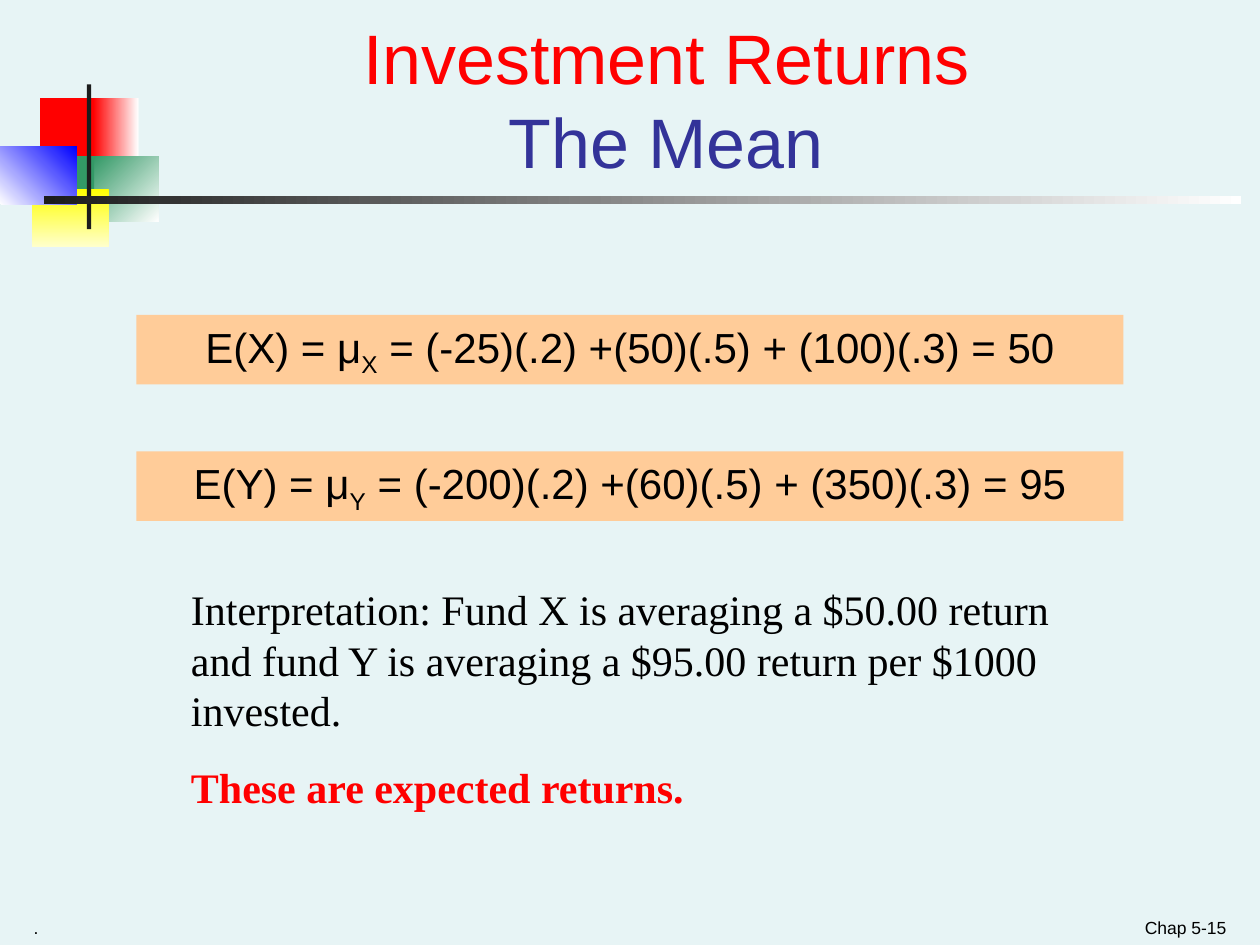
from dataclasses import dataclass

from pptx import Presentation
from pptx import util as u
from pptx.dml.color import RGBColor
from pptx.enum import shapes, text


@dataclass(frozen=True)
class Theme:
    back: str = "E7F4F5"
    ink: str = "000000"
    dark: str = "1C1C1C"
    red: str = "FF0000"
    navy: str = "333399"
    green: str = "339966"
    blue: str = "0000FF"
    yellow: str = "FFFF00"
    cream: str = "FFFFCC"
    white: str = "FFFFFF"
    peach: str = "FFCC99"
    sans: str = "Arial"
    serif: str = "Times New Roman"
    head: int = 40
    body: int = 24
    foot: int = 10


def rgb(code):
    return RGBColor.from_string(code)


def write(para, words, size, color, face, bold=False, sub=False):
    run = para.add_run()
    run.text = words
    font = run.font
    font.size, font.name, font.bold = u.Pt(size), face, bold
    font.color.rgb = rgb(color)
    if sub:
        run._r.get_or_add_rPr().set("baseline", "-25000")


class Deck:
    def __init__(self, theme):
        self.theme = theme
        self.prs = Presentation()
        self.prs.slide_width, self.prs.slide_height = u.Cm(25.4), u.Cm(19.05)
        self.slide = self.prs.slides.add_slide(self.prs.slide_layouts[6])
        fill = self.slide.background.fill
        fill.solid()
        fill.fore_color.rgb = rgb(theme.back)

    def block(self, area, color, fade=None, angle=0):
        rect = self.slide.shapes.add_shape(
            shapes.MSO_SHAPE.RECTANGLE, *map(u.Cm, area))
        rect.shadow.inherit = False
        rect.line.fill.background()
        if fade:
            rect.fill.gradient()
            rect.fill.gradient_angle = angle
            for stop, code in zip(rect.fill.gradient_stops, (color, fade)):
                stop.color.rgb = rgb(code)
        else:
            rect.fill.solid()
            rect.fill.fore_color.rgb = rgb(color)
        return rect

    def frame(self, shape, anchor, align):
        frame = shape.text_frame
        frame.word_wrap = True
        frame.vertical_anchor = anchor
        frame.margin_left = frame.margin_right = u.Cm(0.25)
        frame.margin_top = frame.margin_bottom = u.Cm(0.13)
        frame.paragraphs[0].alignment = align
        return frame

    def label(self, area, anchor=text.MSO_ANCHOR.BOTTOM,
              align=text.PP_ALIGN.LEFT):
        box = self.slide.shapes.add_textbox(*map(u.Cm, area))
        return self.frame(box, anchor, align)

    def formula(self, top, name, sums):
        t = self.theme
        bar = self.block((2.75, top, 19.9, 1.4), t.peach)
        para = self.frame(bar, text.MSO_ANCHOR.TOP,
                          text.PP_ALIGN.CENTER).paragraphs[0]
        for words, sub in ((f"E({name}) = μ", False), (name, True),
                           (f" = {sums}", False)):
            write(para, words, t.body, t.ink, t.sans, sub=sub)

    def emblem(self):
        t = self.theme
        for part in (
            ((0.81, 1.98, 1.22, 1.32), t.red),
            ((1.88, 1.98, 0.91, 1.32), t.red, t.white),
            ((1.9, 3.15, 1.3, 1.32), t.green, t.white, 315),
            ((1.09, 3.15, 0.81, 1.32), t.green),
            ((0.64, 3.81, 1.55, 1.17), t.yellow, t.cream, 270),
            ((0, 2.95, 1.55, 1.17), t.white, t.blue, 45),
            ((1.75, 1.7, 0.09, 2.92), t.dark),
            ((0.89, 3.96, 24.13, 0.15), t.dark, t.white),
        ):
            self.block(*part)


def main():
    t = Theme()
    deck = Deck(t)
    deck.emblem()

    foot = deck.label((0.43, 18.16, 15.67, 0.89))
    write(foot.paragraphs[0], ".", t.foot, t.ink, t.sans)
    page = deck.label((19.05, 18.16, 5.92, 0.89), align=text.PP_ALIGN.RIGHT)
    write(page.paragraphs[0], "Chap 5-15", t.foot, t.ink, t.sans)

    title = deck.label((3.18, 1.07, 20.5, 2.74), align=text.PP_ALIGN.CENTER)
    para = title.paragraphs[0]
    write(para, "Investment Returns", t.head, t.red, t.sans)
    para.add_line_break()
    write(para, "The Mean", t.head, t.navy, t.sans)

    deck.formula(6.35, "X", "(-25)(.2) +(50)(.5) + (100)(.3) = 50")
    deck.formula(9.1, "Y", "(-200)(.2) +(60)(.5) + (350)(.3) = 95")

    notes = deck.label((3.6, 11.64, 18.85, 4.85), text.MSO_ANCHOR.TOP)
    write(notes.paragraphs[0],
          "Interpretation: Fund X is averaging a $50.00 return and fund Y "
          "is averaging a $95.00 return per $1000 invested.",
          t.body, t.ink, t.serif)
    last = notes.add_paragraph()
    last.space_before = u.Pt(15)
    write(last, "These are expected returns.", t.body, t.red, t.serif,
          bold=True)

    deck.prs.save("out.pptx")


if __name__ == "__main__":
    main()
